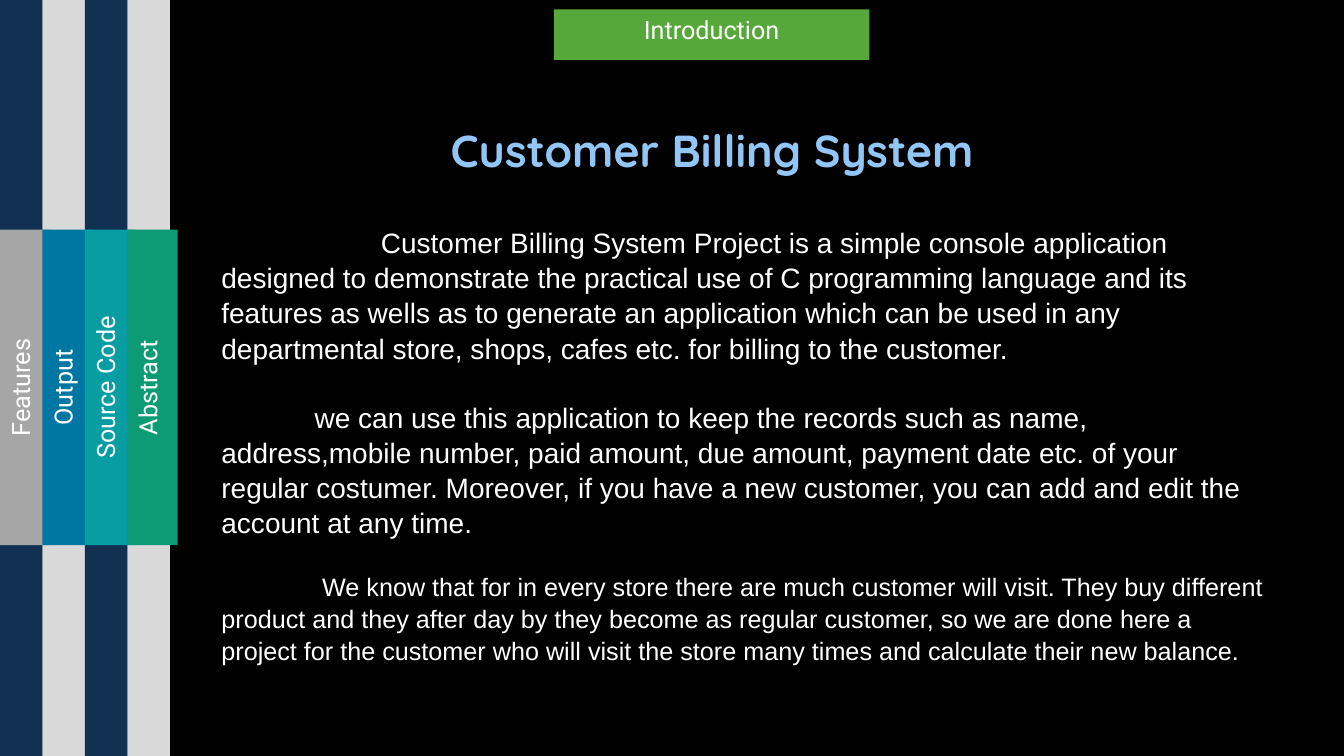
from pptx import Presentation
from pptx.dml.color import RGBColor
from pptx.enum.shapes import MSO_SHAPE as Shape
from pptx.enum.text import MSO_ANCHOR as Anchor, MSO_AUTO_SIZE as AutoSize, PP_ALIGN as Align
from pptx.util import Cm, Pt

WIDTH, HEIGHT = 33.87, 19.05
COLUMN = 1.07
TAB_DEPTH, TAB_LENGTH, TAB_TOP = 1.27, 7.95, 5.79
STRIPES = ["113052", "D9D9D9"] * 2
TABS = [
    ("Features", "A6A6A6"),
    ("Output", "0076A3"),
    ("Source Code", "089CA3"),
    ("Abstract", "0C9B74"),
]
# Text, size, first-line indent in cm, space before in points
PARAGRAPHS = [
    ("Customer Billing System Project is a simple console application designed to "
     "demonstrate the practical use of C programming language and its features as wells "
     "as to generate an application which can be used in any departmental store, shops, "
     "cafes etc. for billing to the customer.", 20, 4.02, 0),
    ("we can use this application to keep the records such as name, address,mobile "
     "number, paid amount, due amount, payment date etc. of your regular costumer. "
     "Moreover, if you have a new customer, you can add and edit the account at any time.",
     20, 2.35, 24),
    ("We know that for in every store there are much customer will visit. They buy "
     "different product and they after day by they become as regular customer, so we are "
     "done here a project for the customer who will visit the store many times and "
     "calculate their new balance.", 18, 2.54, 22),
]


def color(hex_value):
    return RGBColor.from_string(hex_value)


def write(paragraph, text, size=18, font="Roboto", fill="FFFFFF", bold=False,
          align=Align.LEFT, before=0, spacing=1.0, indent=0):
    paragraph.text = text
    paragraph.alignment = align
    paragraph.space_before = Pt(before)
    paragraph.line_spacing = spacing
    if indent:
        properties = paragraph._p.get_or_add_pPr()
        properties.set("marL", "0")
        properties.set("indent", str(int(Cm(indent))))
    paragraph.font.size = Pt(size)
    paragraph.font.name = font
    paragraph.font.bold = bold
    paragraph.font.color.rgb = color(fill)


def prepare_frame(shape):
    """Wrap the text and start it at the top of the shape."""
    frame = shape.text_frame
    frame.word_wrap = True
    frame.auto_size = AutoSize.NONE
    frame.vertical_anchor = Anchor.TOP
    return frame


def add_block(slide, left, top, width, height, fill):
    shape = slide.shapes.add_shape(Shape.RECTANGLE, Cm(left), Cm(top), Cm(width), Cm(height))
    shape.shadow.inherit = False
    shape.fill.solid()
    shape.fill.fore_color.rgb = color(fill)
    shape.line.fill.background()
    return shape


def add_tab(slide, text, fill, left, top, upright=False):
    """Add a labelled tab; an upright one reads from bottom to top."""
    width, height = (TAB_DEPTH, TAB_LENGTH) if upright else (TAB_LENGTH, TAB_DEPTH)
    frame = prepare_frame(add_block(slide, left, top, width, height, fill))
    if upright:
        frame._txBody.bodyPr.set("vert", "vert270")
    write(frame.paragraphs[0], text, align=Align.CENTER)


def set_title(slide, text):
    title = slide.shapes.title
    title.left, title.top, title.width, title.height = Cm(7.14), Cm(2.97), Cm(21.62), Cm(1.63)
    write(prepare_frame(title).paragraphs[0], text, size=32, font="Quicksand",
          fill="91C6F7", bold=True, align=Align.CENTER)


def add_body(slide):
    box = slide.shapes.add_textbox(Cm(5.33), Cm(5.51), Cm(26.9), Cm(11.5))
    frame = prepare_frame(box)
    for index, (text, size, indent, before) in enumerate(PARAGRAPHS):
        paragraph = frame.add_paragraph() if index else frame.paragraphs[0]
        write(paragraph, text, size=size, font="Arial", indent=indent,
              before=before, spacing=1.05)


def main():
    presentation = Presentation()
    presentation.slide_width, presentation.slide_height = Cm(WIDTH), Cm(HEIGHT)
    slide = presentation.slides.add_slide(presentation.slide_layouts[5])
    slide.background.fill.solid()
    slide.background.fill.fore_color.rgb = color("000000")

    for index, fill in enumerate(STRIPES):
        add_block(slide, index * COLUMN, 0, COLUMN, HEIGHT, fill)
    for index, (text, fill) in enumerate(TABS):
        add_tab(slide, text, fill, index * COLUMN, TAB_TOP, upright=True)
    add_tab(slide, "Introduction", "55A839", 13.96, 0.24)
    set_title(slide, "Customer Billing System")
    add_body(slide)
    presentation.save("out.pptx")


if __name__ == "__main__":
    main()
